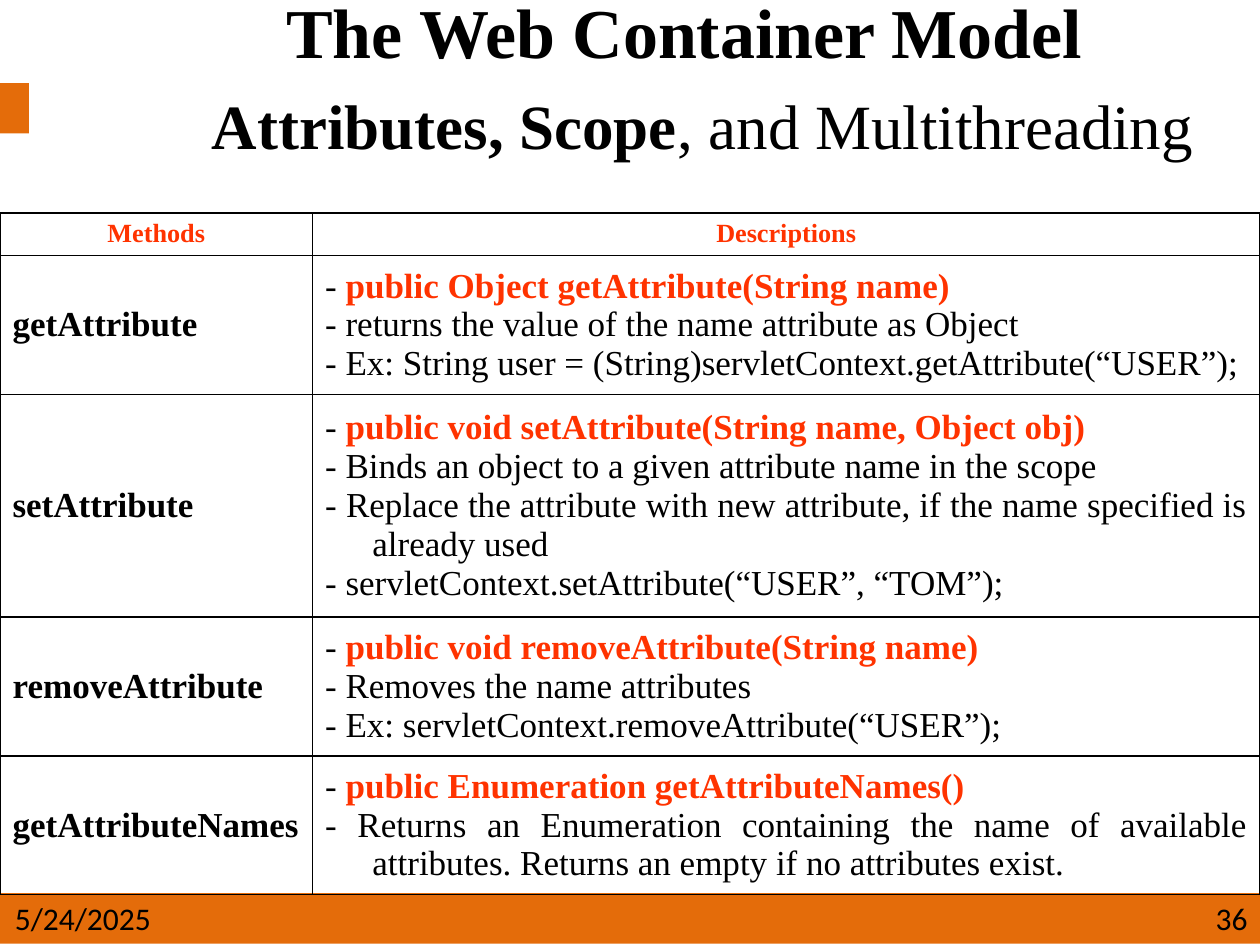
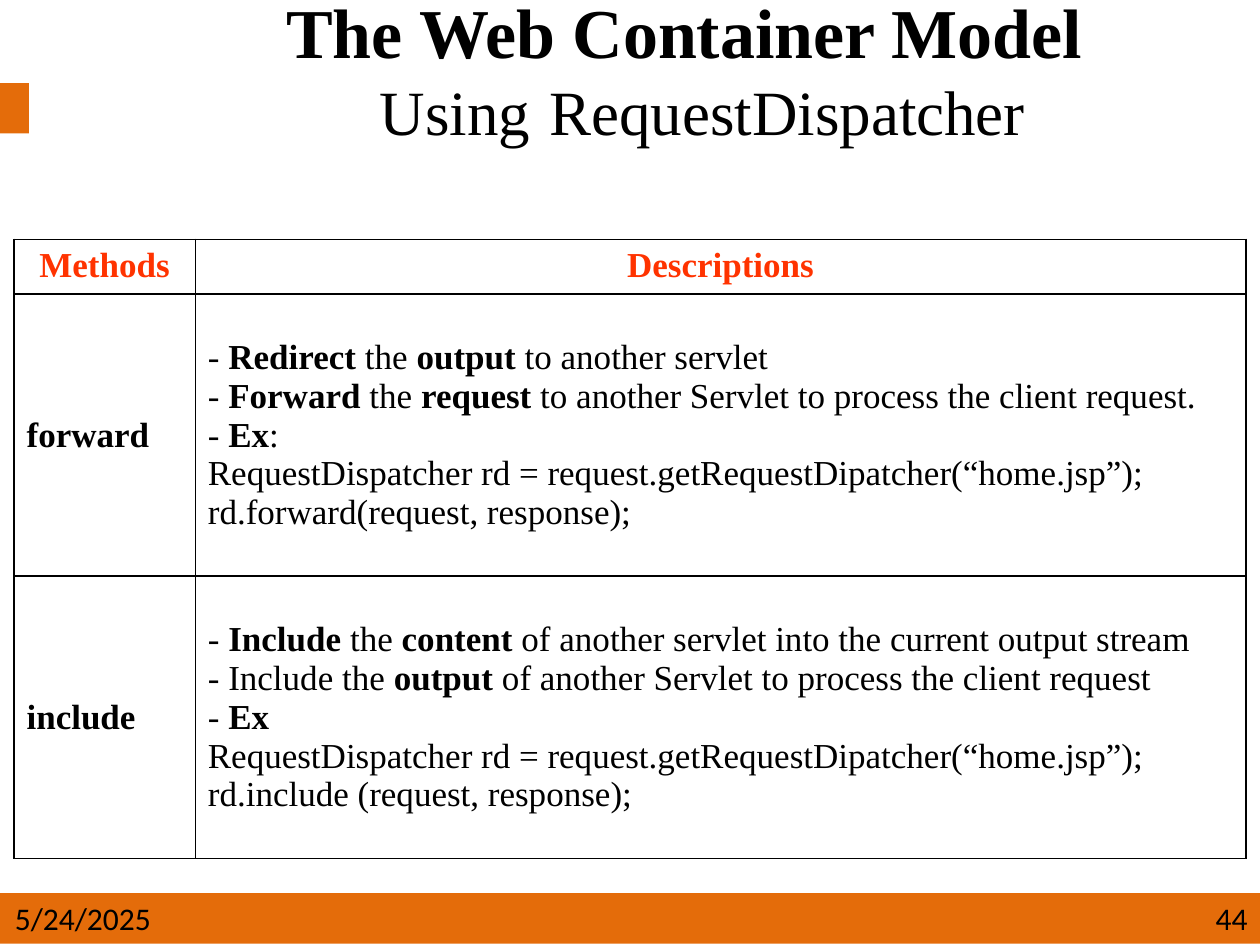
import pptx
import pptx.dml.color
import pptx.enum.shapes
import pptx.enum.text
import pptx.oxml
import pptx.oxml.ns
import pptx.util

Pt = pptx.util.Pt
ALIGN = pptx.enum.text.PP_ALIGN
ANCHOR = pptx.enum.text.MSO_ANCHOR

BLACK = "000000"
RED = "FF3300"
ORANGE = "E46C0A"
SERIF = "Times New Roman"
SLIDE_SIZE = (720, 540)
TITLE_BOX = (72, 0, 648, 87.1)
BAND_BOX = (0, 510.4, 720, 28.8)
MARKER_BOX = (0, 47.5, 16.6, 28.8)
HANGING = 27
TITLE_START = ("The Web Container Model ", 40, True)

ATTRIBUTE_METHODS = [
    ("getAttribute", [
        "- |public Object getAttribute(String name)|",
        "- returns the value of the name attribute as Object",
        "- Ex: String user = (String)servletContext.getAttribute(“USER”);",
    ]),
    ("setAttribute", [
        "- |public void setAttribute(String name, Object obj)|",
        "- Binds an object to a given attribute name in the scope",
        "- Replace the attribute with new attribute, if the name specified is already used",
        "- servletContext.setAttribute(“USER”, “TOM”);",
    ]),
    ("removeAttribute", [
        "- |public void removeAttribute(String name)|",
        "- Removes the name attributes",
        "- Ex: servletContext.removeAttribute(“USER”);",
    ]),
    ("getAttributeNames", [
        "- |public Enumeration getAttributeNames()|",
        "- Returns an Enumeration containing the name of available attributes. "
        "Returns an empty if no attributes exist.",
    ]),
]

DISPATCHER_LINE = "RequestDispatcher rd = request.getRequestDipatcher(“home.jsp”);"
DISPATCHER_METHODS = [
    ("forward", [
        "- |Redirect| the |output| to another servlet",
        "- |Forward| the |request| to another Servlet to process the client request.",
        "- |Ex|:",
        DISPATCHER_LINE,
        "rd.forward(request, response);",
    ]),
    ("include", [
        "- |Include| the |content| of another servlet into the current output stream",
        "- Include the |output| of another Servlet to process the client request",
        "- |Ex|",
        DISPATCHER_LINE,
        "rd.include (request, response);",
    ]),
]

SLIDES = [
    {
        "subtitle": [(" ", 44, True), ("Attributes, Scope", 36, True),
                     (", and Multithreading", 36, False)],
        "spacing": 1.0,
        "number": "36",
        "table": {
            "box": (0, 121.6, 720, 389.5),
            "first_column": 178.6,
            "row_heights": [24.5, 79.2, 127.4, 79.2, 79.2],
            "methods": ATTRIBUTE_METHODS,
            "header_size": 15,
            "emphasis": RED,
        },
    },
    {
        "subtitle": [(" ", 44, True), ("Using", 36, False), (" ", 44, True),
                     ("RequestDispatcher", 36, False)],
        "spacing": 0.85,
        "number": "44",
        "table": {
            "box": (8, 136.8, 704, 353.8),
            "first_column": 103.6,
            "row_heights": [31.2, 161.3, 161.3],
            "methods": DISPATCHER_METHODS,
            "header_size": 20,
            "emphasis": BLACK,
        },
    },
]


def colour(hex_text):
    return pptx.dml.color.RGBColor.from_string(hex_text)


def apply(target, values):
    for name, value in values.items():
        setattr(target, name, value)


def points(box):
    return [Pt(value) for value in box]


def add_run(paragraph, text, size, bold=False, text_colour=BLACK, font=SERIF):
    run = paragraph.add_run()
    run.text = text
    apply(run.font, {"name": font, "size": Pt(size), "bold": bold})
    run.font.color.rgb = colour(text_colour)


def add_master_rectangle(slide, master, box):
    shape = slide.shapes.add_shape(
        pptx.enum.shapes.MSO_SHAPE.RECTANGLE, *points(box))
    shape.shadow.inherit = False
    shape.fill.solid()
    shape.fill.fore_color.rgb = colour(ORANGE)
    shape.line.fill.background()
    master.shapes.element.append(shape.element)


def fill_title(slide, box, subtitle, spacing):
    title = slide.shapes.title
    apply(title, dict(zip(("left", "top", "width", "height"), points(box))))
    apply(title.text_frame, {
        "word_wrap": True,
        "auto_size": pptx.enum.text.MSO_AUTO_SIZE.NONE,
        "vertical_anchor": ANCHOR.MIDDLE,
    })
    paragraph = title.text_frame.paragraphs[0]
    apply(paragraph, {"alignment": ALIGN.CENTER, "line_spacing": spacing})
    add_run(paragraph, *TITLE_START)
    paragraph.add_line_break()
    for part in subtitle:
        add_run(paragraph, *part)


def add_footer(slide, box, number):
    left, top, width, height = box
    items = [("5/24/2025", left + 1.4, 109.4, ALIGN.LEFT),
             (number, left + width - 216, 216, ALIGN.RIGHT)]
    for text, item_left, item_width, alignment in items:
        text_box = slide.shapes.add_textbox(
            *points((item_left, top, item_width, height)))
        text_box.text_frame.word_wrap = True
        paragraph = text_box.text_frame.paragraphs[0]
        paragraph.alignment = alignment
        add_run(paragraph, text, 18, font="Calibri")


def format_cell(cell, anchor):
    properties = cell._tc.get_or_add_tcPr()
    for side in "LRTB":
        properties.append(pptx.oxml.parse_xml(
            f'<a:ln{side} {pptx.oxml.ns.nsdecls("a")} w="{Pt(1)}"><a:solidFill>'
            f'<a:srgbClr val="{BLACK}"/></a:solidFill></a:ln{side}>'))
    cell.fill.background()
    apply(cell, {
        "vertical_anchor": anchor,
        "margin_left": Pt(7.2), "margin_right": Pt(7.2),
        "margin_top": Pt(3.6), "margin_bottom": Pt(3.6),
    })


def write_cell(cell, lines, size, emphasis, alignment, anchor=ANCHOR.MIDDLE):
    format_cell(cell, anchor)
    for index, line in enumerate(lines):
        frame = cell.text_frame
        paragraph = frame.add_paragraph() if index else frame.paragraphs[0]
        paragraph.alignment = alignment
        indents = paragraph._p.get_or_add_pPr()
        indents.set("marL", str(Pt(HANGING)))
        indents.set("indent", str(-Pt(HANGING)))
        for position, text in enumerate(line.split("|")):
            if text:
                bold = position % 2 == 1
                add_run(paragraph, text, size, bold, emphasis if bold else BLACK)


def add_method_table(slide, box, first_column, row_heights, methods,
                     header_size, emphasis):
    table = slide.shapes.add_table(len(row_heights), 2, *points(box)).table
    apply(table, {"first_row": False, "horz_banding": False})
    for column, width in zip(table.columns, (first_column, box[2] - first_column)):
        column.width = Pt(width)
    for row, height in zip(table.rows, row_heights):
        row.height = Pt(height)
    for column, heading in enumerate(("Methods", "Descriptions")):
        write_cell(table.cell(0, column), [f"|{heading}|"], header_size, RED,
                   ALIGN.CENTER, ANCHOR.TOP)
    for row, (method, description) in enumerate(methods, 1):
        write_cell(table.cell(row, 0), [f"|{method}|"], 20, BLACK, ALIGN.LEFT)
        write_cell(table.cell(row, 1), description, 20, emphasis, ALIGN.JUSTIFY)


def main():
    presentation = pptx.Presentation()
    apply(presentation, dict(zip(("slide_width", "slide_height"),
                                 points(SLIDE_SIZE))))
    layout = presentation.slide_layouts.get_by_name("Title Only")
    for index, content in enumerate(SLIDES):
        slide = presentation.slides.add_slide(layout)
        if index == 0:
            for box in (BAND_BOX, MARKER_BOX):
                add_master_rectangle(slide, presentation.slide_master, box)
        fill_title(slide, TITLE_BOX, content["subtitle"], content["spacing"])
        add_method_table(slide, **content["table"])
        add_footer(slide, BAND_BOX, content["number"])
    presentation.save("out.pptx")


if __name__ == "__main__":
    main()
